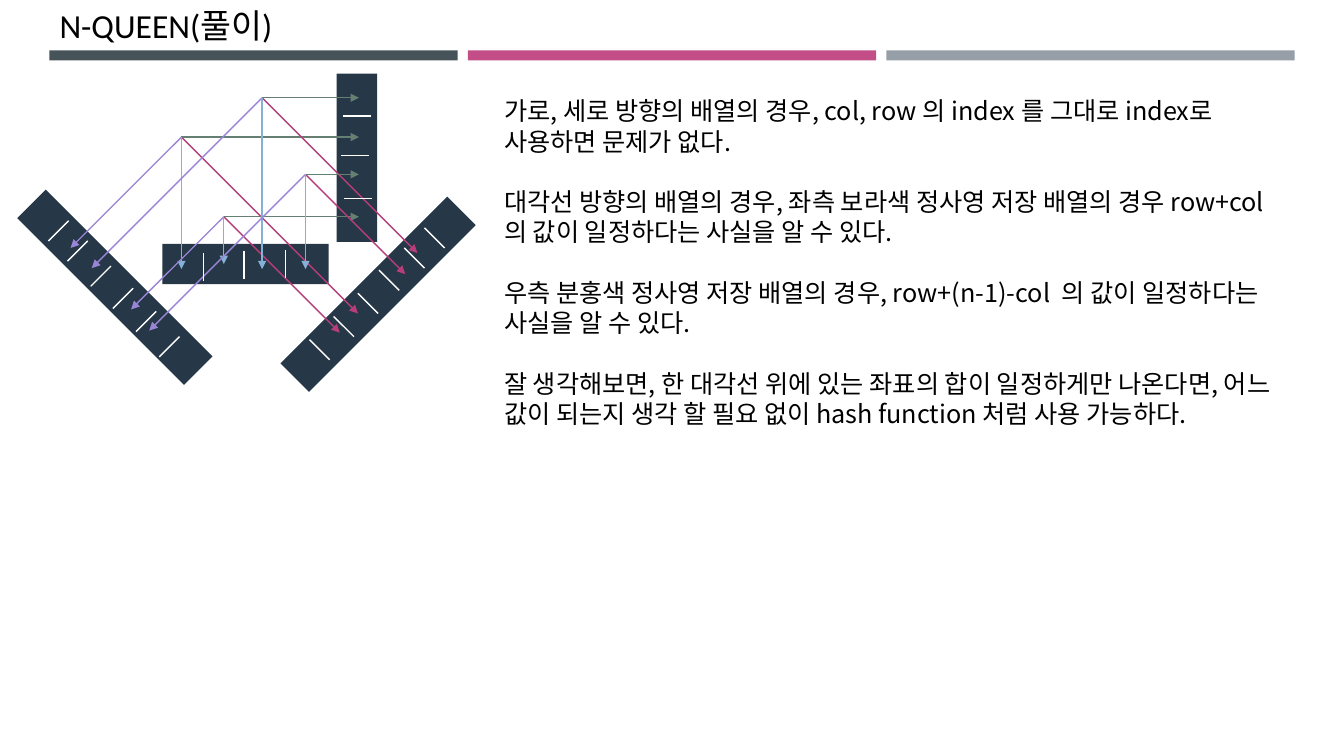
import pptx
import pptx.util
import pptx.dml.color
import pptx.enum.shapes
import pptx.enum.text
import pptx.oxml
import pptx.oxml.ns

Inches, Pt = pptx.util.Inches, pptx.util.Pt
RGBColor = pptx.dml.color.RGBColor
SHAPE = pptx.enum.shapes.MSO_SHAPE
LINE = pptx.enum.shapes.MSO_CONNECTOR
ANCHOR = pptx.enum.text.MSO_ANCHOR
ALIGN = pptx.enum.text.PP_ALIGN
AUTO = pptx.enum.text.MSO_AUTO_SIZE

BLACK = RGBColor(0x00, 0x00, 0x00)
WHITE = RGBColor(0xFF, 0xFF, 0xFF)
SLATE = RGBColor(0x46, 0x53, 0x59)
PINK = RGBColor(0xC3, 0x4D, 0x86)
GRAY = RGBColor(0x96, 0x9F, 0xA7)
NAVY = RGBColor(0x26, 0x37, 0x47)
PURPLE = RGBColor(0x9A, 0x84, 0xD6)
MAGENTA = RGBColor(0xB7, 0x3E, 0x78)
GREEN = RGBColor(0x65, 0x80, 0x73)
BLUE = RGBColor(0x84, 0xB2, 0xD6)

TITLE_FONT, KOREAN_FONT = "Calibri", "Noto Sans CJK KR"
TITLE = "N-QUEEN(풀이)"
NOTES = [
    "가로, 세로 방향의 배열의 경우, col, row 의 index 를 그대로 index로 "
    "사용하면 문제가 없다.",
    "대각선 방향의 배열의 경우, 좌측 보라색 정사영 저장 배열의 경우 "
    "row+col 의 값이 일정하다는 사실을 알 수 있다.",
    "우측 분홍색 정사영 저장 배열의 경우, row+(n-1)-col  의 값이 "
    "일정하다는 사실을 알 수 있다.",
    "잘 생각해보면, 한 대각선 위에 있는 좌표의 합이 일정하게만 나온다면, "
    "어느 값이 되는지 생각 할 필요 없이 hash function 처럼 사용 가능하다.",
]

# Storage arrays: left, top, width, height, rotation within the diagram
ARRAYS = [
    (3.40, 1.05, 0.40, 2.34, 45),
    (0.79, 0.98, 0.40, 2.34, -45),
    (1.46, 1.72, 1.65, 0.40, 0),
    (3.19, 0.03, 0.40, 1.67, 0),
]
# Cell dividers of each array: direction, then starting points
DIVIDERS = [
    ((0.2, 0.2), [(4.06, 1.56), (3.86, 1.76), (3.61, 1.98),
                  (3.40, 2.21), (3.16, 2.44), (2.92, 2.67)]),
    ((0.2, -0.2), [(0.33, 1.69), (0.52, 1.89), (0.75, 2.14),
                   (0.97, 2.36), (1.20, 2.59), (1.43, 2.84)]),
    ((0, 0.28), [(1.87, 1.81), (2.27, 1.79), (2.68, 1.78)]),
    ((0.28, 0), [(3.25, 0.45), (3.23, 0.84), (3.26, 1.27)]),
]
# Queens: x, y, reach down-left, reach down-right, reach down
QUEENS = [
    (1.65, 0.66, 1.10, 1.75, 1.31),
    (2.07, 1.45, 0.92, 1.15, 0.47),
    (2.45, 0.27, 1.69, 1.54, 1.70),
    (2.88, 1.03, 1.55, 0.99, 0.94),
]
ROW_ARRAY_X = 3.41


def add_bar(slide, left, top, width, height, color, rotation=0):
    sp = slide.shapes.add_shape(SHAPE.RECTANGLE, Inches(left), Inches(top),
                                Inches(width), Inches(height))
    sp.rotation = rotation
    sp.shadow.inherit = False
    sp.fill.solid()
    sp.fill.fore_color.rgb = color
    sp.line.fill.background()


def add_line(slide, x, y, dx, dy, color, arrow=False):
    cn = slide.shapes.add_connector(LINE.STRAIGHT, Inches(x), Inches(y),
                                    Inches(x + dx), Inches(y + dy))
    cn.line.color.rgb = color
    cn.line.width = Pt(1)
    if arrow:
        tail = pptx.oxml.parse_xml(
            '<a:tailEnd %s type="triangle"/>' % pptx.oxml.ns.nsdecls("a"))
        cn.line._get_or_add_ln().append(tail)
    cn._element.spPr.append(pptx.oxml.parse_xml(
        "<a:effectLst %s/>" % pptx.oxml.ns.nsdecls("a")))


def add_run(p, text, size, font):
    r = p.add_run()
    r.text = text
    r.font.size = Pt(size)
    r.font.name = font
    r.font.color.rgb = BLACK
    r._r.get_or_add_rPr().append(pptx.oxml.parse_xml(
        '<a:ea %s typeface="%s"/>' % (pptx.oxml.ns.nsdecls("a"), KOREAN_FONT)))


def place(sp, left, top, width, height, anchor):
    sp.left, sp.top = Inches(left), Inches(top)
    sp.width, sp.height = Inches(width), Inches(height)
    tf = sp.text_frame
    tf.word_wrap = True
    tf.auto_size = AUTO.NONE
    tf.vertical_anchor = anchor
    return tf


def draw_header(slide, left, top, width):
    # Three equal bands under the title
    gap = 0.1
    band = (width - 2 * gap) / 3
    for i, color in enumerate((SLATE, PINK, GRAY)):
        add_bar(slide, left + i * (band + gap), top + 0.5, band, 0.1, color)
    tf = place(slide.shapes.title, left, top, width, 0.5, ANCHOR.MIDDLE)
    p = tf.paragraphs[0]
    p.alignment = ALIGN.LEFT
    add_run(p, TITLE, 24, TITLE_FONT)


def draw_diagram(slide, left, top):
    for x, y, width, height, rotation in ARRAYS:
        add_bar(slide, left + x, top + y, width, height, NAVY, rotation)
    # Each queen projects onto the four arrays
    for x, y, down_left, down_right, down in QUEENS:
        for dx, dy, color in ((-down_left, down_left, PURPLE),
                              (down_right, down_right, MAGENTA),
                              (ROW_ARRAY_X - x, 0, GREEN),
                              (0, down, BLUE)):
            add_line(slide, left + x, top + y, dx, dy, color, arrow=True)
    for (dx, dy), starts in DIVIDERS:
        for x, y in starts:
            add_line(slide, left + x, top + y, dx, dy, WHITE)


def draw_notes(slide, left, top, width, height):
    tf = place(slide.placeholders[1], left, top, width, height, ANCHOR.TOP)
    for i, text in enumerate(NOTES):
        p = tf.paragraphs[0] if i == 0 else tf.add_paragraph()
        pPr = p._p.get_or_add_pPr()
        pPr.set("marL", "0")
        pPr.set("indent", "0")
        pPr.append(pptx.oxml.parse_xml(
            "<a:buNone %s/>" % pptx.oxml.ns.nsdecls("a")))
        p.alignment = ALIGN.LEFT
        p.line_spacing = Pt(21.6)
        p.space_before = Pt(21.6 if i else 0)
        add_run(p, text, 18, KOREAN_FONT)


def main():
    prs = pptx.Presentation()
    prs.slide_width, prs.slide_height = Inches(13.33), Inches(7.5)
    slide = prs.slides.add_slide(prs.slide_layouts[1])
    draw_header(slide, 0.49, 0, 12.35)
    draw_diagram(slide, 0.15, 0.7)
    draw_notes(slide, 4.9, 0.9, 7.95, 3.43)
    prs.save("out.pptx")


if __name__ == "__main__":
    main()
